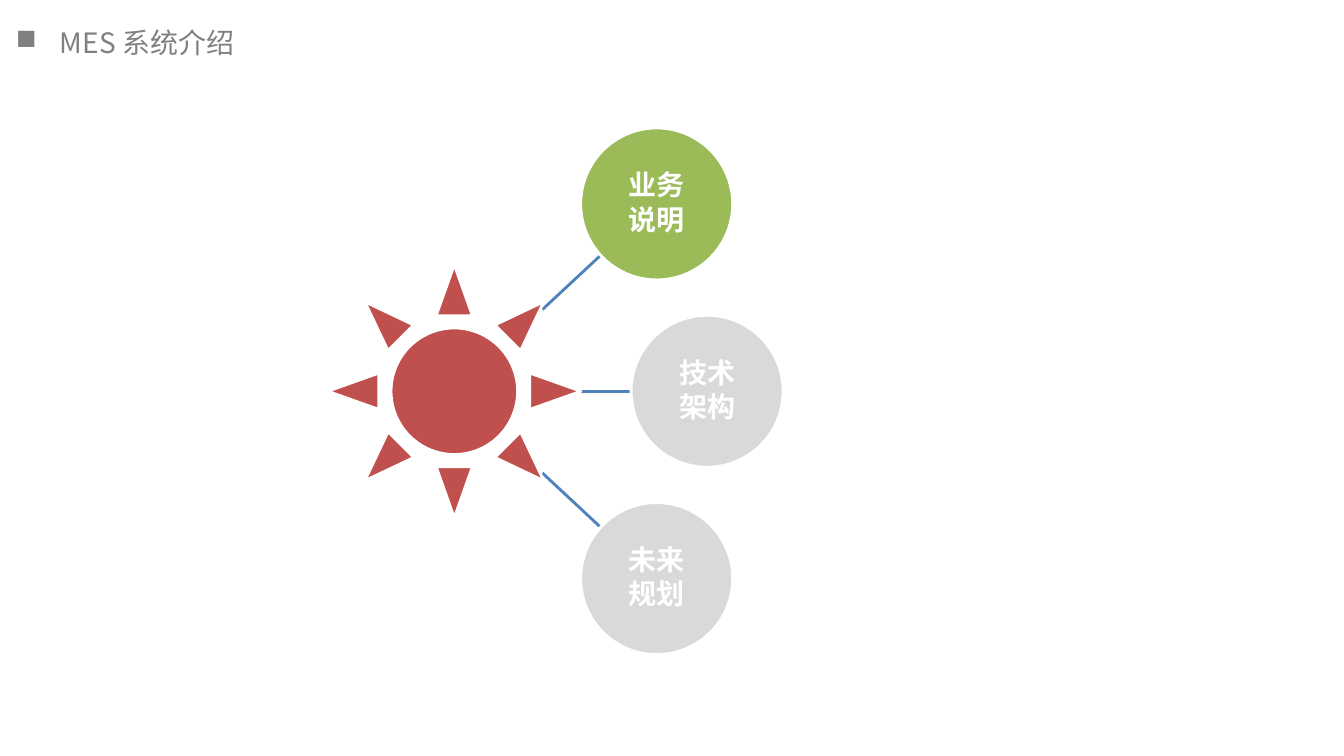
import pptx
import pptx.util
import pptx.dml.color
import pptx.enum.shapes
import pptx.enum.text
import pptx.oxml
import pptx.oxml.ns
from pptx.util import Cm

theme = {
    "font": "Noto Sans CJK SC",
    "size": 20,
    "rule": 2,
    "title": "808080",
    "line": "4F81BD",
    "sun": "C0504D",
    "live": "9BBB59",
    "idle": "D9D9D9",
    "white": "FFFFFF",
}
kinds = pptx.enum.shapes.MSO_SHAPE
aligns = pptx.enum.text.PP_ALIGN
qn = pptx.oxml.ns.qn


def tint(name):
    return pptx.dml.color.RGBColor.from_string(theme[name])


def write(frame, text, color, bold=False, align=aligns.LEFT, pitch=1.0, after=0, bullet=None, indent=0):
    frame.word_wrap = True
    for i, line in enumerate(text.split("\n")):
        para = frame.paragraphs[0] if i == 0 else frame.add_paragraph()
        para.alignment = align
        para.line_spacing = pitch
        para.space_after = pptx.util.Pt(after)
        if bullet:
            props = para._p.get_or_add_pPr()
            props.set("marL", str(indent))
            props.set("indent", str(-indent))
            mark = pptx.oxml.parse_xml(
                f'<a:buChar {pptx.oxml.ns.nsdecls("a")} char="{bullet}"/>')
            props.append(mark)
        run = para.add_run()
        run.text = line
        run.font.size = pptx.util.Pt(theme["size"])
        run.font.bold = bold
        run.font.color.rgb = tint(color)
        run.font.name = theme["font"]
        east = run._r.get_or_add_rPr().makeelement(qn("a:ea"), {"typeface": theme["font"]})
        run.font._element.find(qn("a:latin")).addnext(east)


def draw(kind, x, y, size, fill):
    shape = slide.shapes.add_shape(kind, Cm(x - size / 2), Cm(y - size / 2), Cm(size), Cm(size))
    shape.shadow.inherit = False
    shape.fill.solid()
    shape.fill.fore_color.rgb = tint(fill)
    shape.line.color.rgb = tint("white")
    shape.line.width = pptx.util.Pt(theme["rule"])
    return shape


deck = pptx.Presentation()
deck.slide_width = Cm(33.87)
deck.slide_height = Cm(19.05)
slide = deck.slides.add_slide(deck.slide_layouts[6])

title = slide.shapes.add_textbox(Cm(0.15), Cm(0.53), Cm(22.83), Cm(1.12))
write(title.text_frame, "MES 系统介绍", "title", bullet="■", indent=Cm(1.11))

mid = 9.86
step = 4.72
topics = [
    ("业务\n说明", "live", -1, 16.55),
    ("技术\n架构", "idle", 0, 17.82),
    ("未来\n规划", "idle", 1, 16.55),
]

for text, fill, row, x in topics:
    end = x - 1.41 if row else x - 1.92
    spoke = slide.shapes.add_connector(
        pptx.enum.shapes.MSO_CONNECTOR.STRAIGHT,
        Cm(13.67), Cm(mid + row * 2.06), Cm(end), Cm(mid + row * 3.43))
    spoke.line.color.rgb = tint("line")
    spoke.line.width = pptx.util.Pt(theme["rule"])
    props = spoke._element.spPr
    props.append(props.makeelement(qn("a:effectLst"), {}))

draw(kinds.SUN, 11.45, mid, 6.38, "sun")

for text, fill, row, x in topics:
    disc = draw(kinds.OVAL, x, mid + row * step, 3.83, fill)
    frame = disc.text_frame
    frame.margin_left = frame.margin_right = Cm(0.03)
    frame.margin_top = frame.margin_bottom = Cm(0.03)
    frame.vertical_anchor = pptx.enum.text.MSO_ANCHOR.MIDDLE
    write(frame, text, "white", bold=True, align=aligns.CENTER, pitch=0.9, after=2.8)

deck.save("out.pptx")
